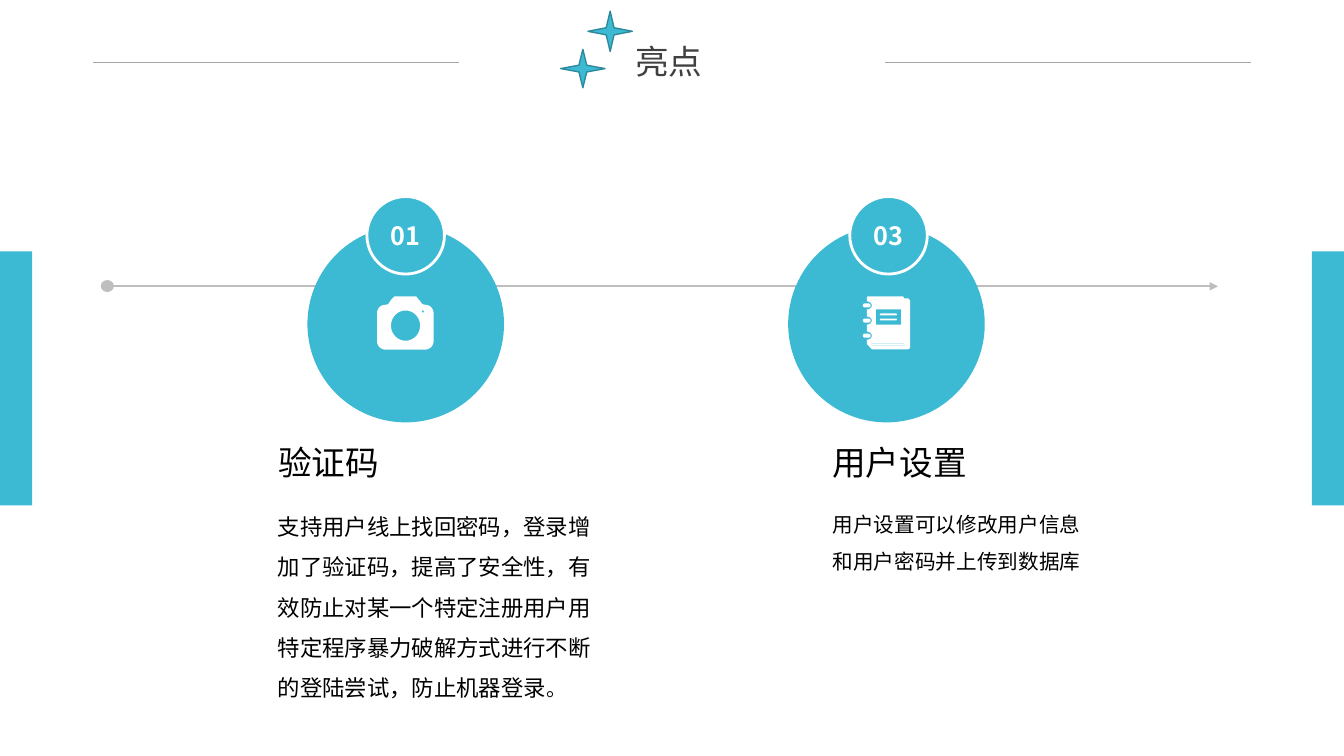
from math import cos, radians, sin

from lxml import etree
from pptx import Presentation
from pptx.dml.color import RGBColor
from pptx.enum.shapes import MSO_CONNECTOR, MSO_SHAPE
from pptx.enum.text import MSO_ANCHOR, MSO_AUTO_SIZE, PP_ALIGN
from pptx.oxml.ns import qn
from pptx.util import Pt

STRAIGHT = MSO_CONNECTOR.STRAIGHT
RECTANGLE, PILL = MSO_SHAPE.RECTANGLE, MSO_SHAPE.ROUNDED_RECTANGLE
OVAL, STAR = MSO_SHAPE.OVAL, MSO_SHAPE.STAR_4_POINT
LEFT, CENTER = PP_ALIGN.LEFT, PP_ALIGN.CENTER
TOP, MIDDLE = MSO_ANCHOR.TOP, MSO_ANCHOR.MIDDLE
GROW = MSO_AUTO_SIZE.SHAPE_TO_FIT_TEXT


def color(value):
    return RGBColor.from_string(value)


def arc(x, y, width, height, start, end, steps=12):
    angles = [radians(start + (end - start) * i / steps) for i in range(steps + 1)]
    return [(x + width * cos(a), y + height * sin(a)) for a in angles]


def block(left, top, right, bottom):
    return [(left, top), (right, top), (right, bottom), (left, bottom)]


class HighlightPage:
    """Style and drawing methods for the highlights page."""

    teal, white, black, gray = "3DBAD3", "FFFFFF", "000000", "BEBEBE"
    font = "Noto Sans CJK JP"

    def __init__(self, deck):
        self.shapes = deck.slides.add_slide(deck.slide_layouts[6]).shapes

    def paint(self, shape, fill, line, weight):
        shape.shadow.inherit = False
        shape.fill.solid()
        shape.fill.fore_color.rgb = color(fill)
        if line:
            shape.line.color.rgb = color(line)
            shape.line.width = Pt(weight)
        else:
            shape.line.fill.background()
        return shape

    def shape(self, kind, left, top, width, height, fill=teal, line=None, weight=1):
        shape = self.shapes.add_shape(kind, Pt(left), Pt(top), Pt(width), Pt(height))
        return self.paint(shape, fill, line, weight)

    def outline(self, left, top, *contours):
        places = [[(Pt(left + x), Pt(top + y)) for x, y in contour] for contour in contours]
        builder = self.shapes.build_freeform(*places[0][0])
        builder.add_line_segments(places[0][1:], close=True)
        for contour in places[1:]:
            builder.move_to(*contour[0])
            builder.add_line_segments(contour[1:], close=True)
        self.paint(builder.convert_to_shape(), self.white, None, 0)

    def line(self, start, end, y, stroke, weight, arrow=False):
        line = self.shapes.add_connector(STRAIGHT, Pt(start), Pt(y), Pt(end), Pt(y))
        line.line.color.rgb = color(stroke)
        line.line.width = Pt(weight)
        properties = line._element.spPr
        if arrow:
            etree.SubElement(properties.find(qn("a:ln")), qn("a:tailEnd"), type="triangle")
        etree.SubElement(properties, qn("a:effectLst"))

    def span(self, para, text, size, fill=black, font=font, bold=False):
        span = para.add_run()
        span.text = text
        span.font.name = font
        span.font.size = Pt(size)
        span.font.bold = bold
        span.font.color.rgb = color(fill)
        etree.SubElement(span._r.rPr, qn("a:ea"), typeface=self.font)

    def fill_frame(self, frame, text, size, margins=(0, 0), wrap=True, align=LEFT,
                   anchor=TOP, spacing=None, **style):
        frame.word_wrap = wrap
        frame.vertical_anchor = anchor
        frame.margin_left = frame.margin_right = Pt(margins[0])
        frame.margin_top = frame.margin_bottom = Pt(margins[1])
        para = frame.paragraphs[0]
        para.alignment = align
        para.line_spacing = spacing
        self.span(para, text, size, **style)
        return para

    def text(self, left, top, width, height, text, size, **style):
        box = self.shapes.add_textbox(Pt(left), Pt(top), Pt(width), Pt(height))
        box.text_frame.auto_size = GROW
        return self.fill_frame(box.text_frame, text, size, **style)

    def milestone(self, left, badge_left, number):
        self.shape(OVAL, left, 161.3, 140.4, 140.4)
        badge = self.shape(OVAL, badge_left, 140.4, 55.4, 55.4, line=self.white, weight=2)
        self.fill_frame(badge.text_frame, number, 18, wrap=False, align=CENTER,
                        anchor=MIDDLE, fill=self.white, bold=True)

    def camera(self, left, top):
        body = (arc(6, 32, 6, 6, 90, 180) + arc(6, 12, 6, 6, 180, 270)
                + [(8, 5.6), (10, 2.5), (12.5, 0), (28, 0), (30, 2.5), (32.5, 5.6)]
                + arc(34.4, 12, 6, 6, 270, 360) + arc(34.4, 32, 6, 6, 0, 90))
        lens = arc(20.4, 20.9, 10.4, 10.8, 360, 0, 48)
        flash = arc(32.8, 10.8, 0.8, 0.8, 360, 0)
        self.outline(left, top, body, lens, flash)

    def notebook(self, left, top):
        ring_centers = [6.5 + 10.8 * i for i in range(3)]
        cover = [(2.9, 0.8), (3.6, 0), (28.8, 0), (29.5, 1.4), (32.4, 1.4),
                 (33.8, 2.9), (33.8, 37), (32.4, 37.8), (6.5, 37.8), (2.9, 34)]
        for y in reversed(ring_centers):
            cover += arc(2.9, y, 3.6, 2.9, 90, -90)
        edge = [(5.4, 33.8), (29.5, 33.8), (29.5, 2.3), (31, 2.9),
                (31, 34.6), (29.5, 35.3), (7.2, 35.3)]
        self.outline(left, top, cover, block(9.4, 9.4, 27.4, 20.2), edge)
        self.outline(left, top, edge)
        strips = [(0, y - 1.45, 5.6, 2.9) for y in ring_centers]
        strips += [(12.2, y, 12.2, 1.4) for y in (12.2, 15.8)]
        for x, y, width, height in strips:
            pill = self.shape(PILL, left + x, top + y, width, height, fill=self.white)
            pill.adjustments[0] = 0.5


def main():
    deck = Presentation()
    deck.slide_width, deck.slide_height = Pt(960), Pt(540)
    page = HighlightPage(deck)
    for left in (0, 937):
        page.shape(RECTANGLE, left, 179.5, 23, 181.5)

    page.line(77, 870, 204.5, page.gray, 1.5, arrow=True)
    page.shape(OVAL, 72, 200, 9.4, 8.6, fill=page.gray)
    page.milestone(219.6, 262.1, "01")
    page.camera(269.3, 211.7)
    page.milestone(563, 607, "03")
    page.notebook(616.3, 211.7)

    inset = (7.2, 3.6)
    para = page.text(
        191.5, 353.5, 247.7, 149,
        "支持用户线上找回密码，登录增加了验证码，提高了安全性，有效防止对某一个特定注册用户用"
        "特定程序暴力破解方式进行不断的登陆尝试，防止机器登录",
        16, margins=inset, spacing=1.5, font="Calibri")
    page.span(para, "。", 14.6, fill="0D0D0D", font="Calibri")
    page.text(191.5, 311.8, 217.4, 36, "验证码", 24, margins=inset)
    page.text(587.5, 353.5, 202.3, 57.6, "用户设置可以修改用户信息和用户密码并上传到数据库",
              14.7, margins=inset, spacing=1.5)
    page.text(587.5, 311.8, 211, 36, "用户设置", 24, margins=inset)

    page.text(330.5, 29.5, 294.5, 28.8, "亮点", 24, align=CENTER, anchor=MIDDLE, fill="404040")
    for start in (66.2, 632.2):
        page.line(start, start + 261.4, 44.6, "A6A6A6", 0.5)
    for left, top, height in ((400.5, 35.3, 27.4), (420, 8, 28.8)):
        page.shape(STAR, left, top, 31.7, height, line="2D8A9C")
    deck.save("out.pptx")


if __name__ == "__main__":
    main()
